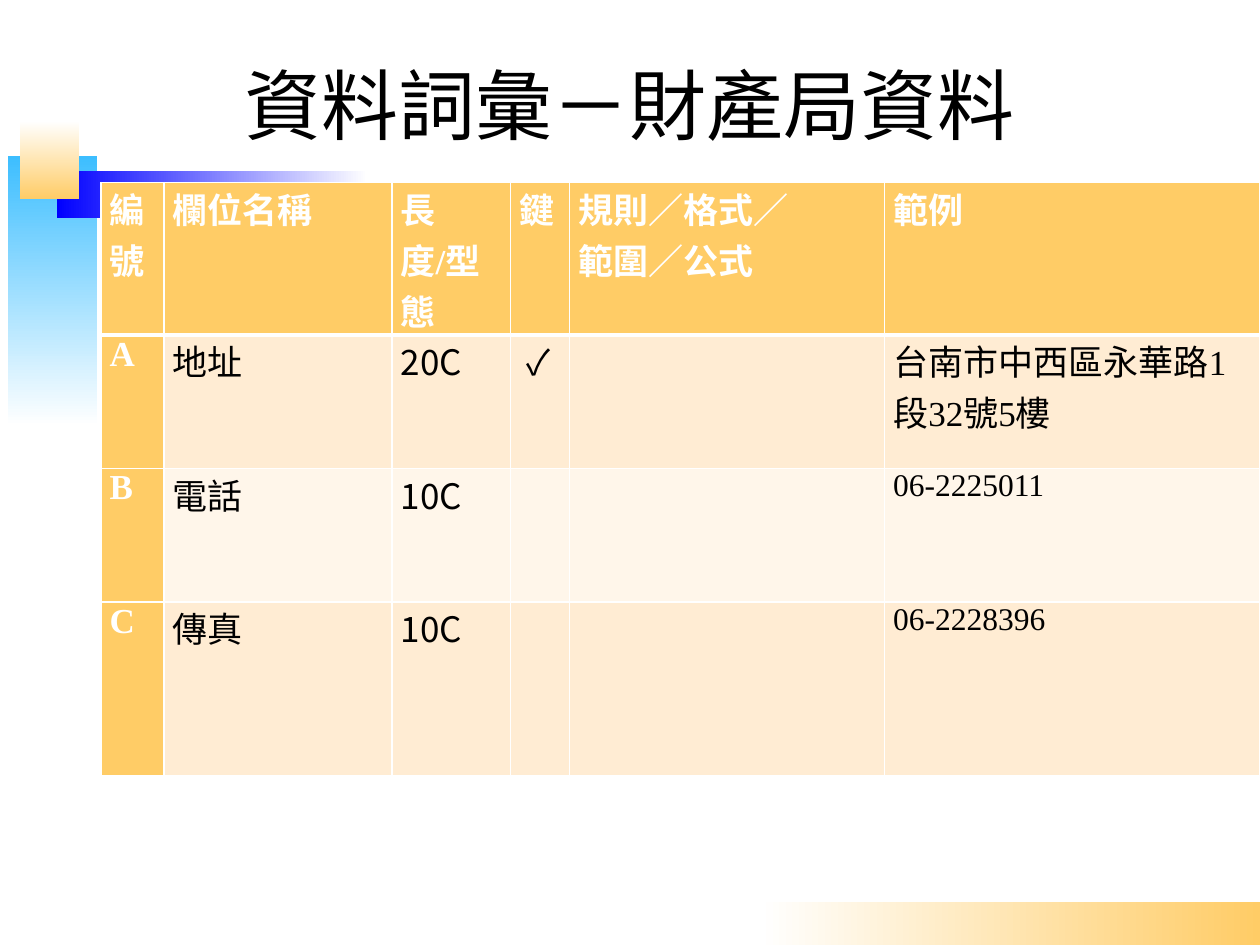
"""Build the data dictionary slide with its field table."""
import pptx
import pptx.dml.color
import pptx.enum.shapes
import pptx.enum.text
import pptx.oxml
import pptx.oxml.ns
import pptx.util

Inches = pptx.util.Inches
Pt = pptx.util.Pt
RGBColor = pptx.dml.color.RGBColor

COLORS = {
    "white": "FFFFFF", "black": "000000", "gold": "FFCC66", "sky": "3DBEFF",
    "blue": "0000FF", "odd": "FFECD3", "even": "FFF6EA",
}
SERIF = "Times New Roman"
SANS = "Noto Sans CJK JP"


def style_text(paragraph, size, font, color, bold=False):
    for run in paragraph.runs:
        for name, value in {"size": Pt(size), "name": font, "bold": bold}.items():
            setattr(run.font, name, value)
        run.font.color.rgb = RGBColor.from_string(COLORS[color])
        east_asian = pptx.oxml.parse_xml(
            f'<a:ea {pptx.oxml.ns.nsdecls("a")} typeface="{SANS}"/>')
        run.font._element.find(pptx.oxml.ns.qn("a:latin")).addnext(east_asian)


def set_borders(cell, widths):
    for index, (side, width) in enumerate(widths.items()):
        border = pptx.oxml.parse_xml(
            f'<a:{side} {pptx.oxml.ns.nsdecls("a")} w="{Pt(width)}"><a:solidFill>'
            f'<a:srgbClr val="{COLORS["white"]}"/></a:solidFill></a:{side}>')
        cell._tc.get_or_add_tcPr().insert(index, border)


presentation = pptx.Presentation()
presentation.slide_width = Inches(10)
presentation.slide_height = Inches(7.5)
slide = presentation.slides.add_slide(presentation.slide_layouts[5])

gradient_bars = [
    ((6.03, 7.16, 3.97, 0.35), "white", "gold", 0),
    ((0.06, 1.24, 0.71, 2.14), "sky", "white", 270),
    ((0.45, 1.36, 2.47, 0.37), "blue", "white", 0),
    ((0.16, 0.96, 0.47, 0.62), "white", "gold", 270),
]
for position, start, end, angle in gradient_bars:
    bar = slide.shapes.add_shape(
        pptx.enum.shapes.MSO_SHAPE.RECTANGLE, *map(Inches, position))
    bar.shadow.inherit = False
    bar.line.fill.background()
    bar.fill.gradient()
    bar.fill.gradient_angle = angle
    for stop, color in zip(bar.fill.gradient_stops, (start, end)):
        stop.color.rgb = RGBColor.from_string(COLORS[color])

title = slide.shapes.title
title_place = {"left": 0, "top": 0.2, "width": 10, "height": 1.25}
for name, value in title_place.items():
    setattr(title, name, Inches(value))
title_format = {
    "text": "資料詞彙－財產局資料",
    "vertical_anchor": pptx.enum.text.MSO_ANCHOR.MIDDLE,
    "margin_left": Inches(0.08), "margin_right": Inches(0.08),
    "margin_top": Inches(0.04), "margin_bottom": Inches(0.04),
}
for name, value in title_format.items():
    setattr(title.text_frame, name, value)
title.text_frame.paragraphs[0].alignment = pptx.enum.text.PP_ALIGN.CENTER
style_text(title.text_frame.paragraphs[0], 44, SERIF, "black")

rows = [
    ["編號", "欄位名稱", "長度/型態", "鍵", "規則／格式／\n範圍／公式", "範例"],
    ["A", "地址", "20C", " ✓", "", "台南市中西區永華路1段32號5樓"],
    ["B", "電話", "10C", "", "", "06-2225011"],
    ["C", "傳真", "10C", "", "", "06-2228396"],
]
column_widths = [0.5, 1.81, 0.94, 0.47, 2.5, 2.98]
row_heights = [0.86, 1.06, 1.06, 1.38]
table = slide.shapes.add_table(
    len(rows), len(column_widths),
    Inches(0.8), Inches(1.45), Inches(9.2), Inches(4.36)).table
for column, width in zip(table.columns, column_widths):
    column.width = Inches(width)
for row, height in zip(table.rows, row_heights):
    row.height = Inches(height)

cell_margins = {
    "margin_left": 0.07, "margin_right": 0.07, "margin_top": 0, "margin_bottom": 0,
}
last_column = len(column_widths) - 1
for row_index, texts in enumerate(rows):
    for column_index, text in enumerate(texts):
        cell = table.cell(row_index, column_index)
        heading = row_index == 0 or column_index == 0
        band = "odd" if row_index % 2 else "even"
        cell.fill.solid()
        cell.fill.fore_color.rgb = RGBColor.from_string(
            COLORS["gold" if heading else band])
        for name, value in cell_margins.items():
            setattr(cell, name, Inches(value))
        set_borders(cell, {
            "lnL": 1, "lnR": 1,
            "lnT": 3 if row_index == 1 else 1,
            "lnB": 3 if row_index == 0 else 1,
        })
        cell.text = text
        example = column_index == last_column
        size = 18 if example and row_index > 1 else 20
        font = SERIF if heading or example else SANS
        for paragraph in cell.text_frame.paragraphs:
            style_text(paragraph, size, font, "white" if heading else "black", heading)

presentation.save("out.pptx")
